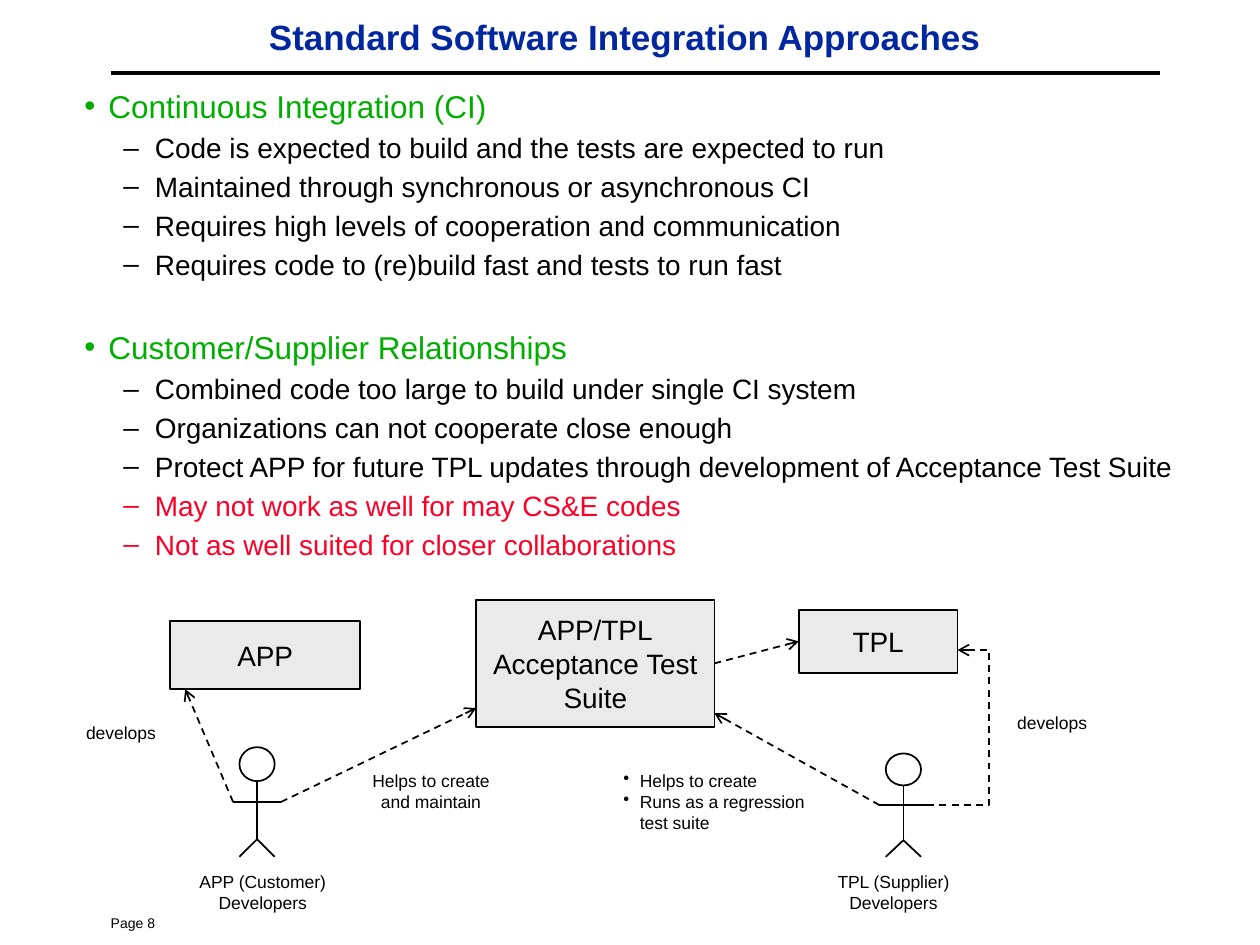
from dataclasses import dataclass

import pptx
import pptx.dml.color
import pptx.enum.dml
import pptx.enum.shapes
import pptx.enum.text
import pptx.oxml.ns
import pptx.util

Pt = pptx.util.Pt
ALIGN = pptx.enum.text.PP_ALIGN
ANCHOR = pptx.enum.text.MSO_ANCHOR
SHAPE = pptx.enum.shapes.MSO_SHAPE
LINK = pptx.enum.shapes.MSO_CONNECTOR
COLS, ROWS = 100, 75


@dataclass(frozen=True)
class Theme:
    font: str = "Arial"
    ink: str = "000000"
    title: str = "00279F"
    heading: str = "00AE00"
    warning: str = "FC0128"
    box: str = "EAEAEA"
    title_size: int = 20
    heading_size: int = 18
    text_size: int = 16
    label_size: int = 10
    page_size: int = 8
    thin: int = 1
    thick: int = 2


THEME = Theme()

TOPICS = [
    ("Continuous Integration (CI)", [
        ("Code is expected to build and the tests are expected to run", THEME.ink),
        ("Maintained through synchronous or asynchronous CI", THEME.ink),
        ("Requires high levels of cooperation and communication", THEME.ink),
        ("Requires code to (re)build fast and tests to run fast", THEME.ink),
    ]),
    ("Customer/Supplier Relationships", [
        ("Combined code too large to build under single CI system", THEME.ink),
        ("Organizations can not cooperate close enough", THEME.ink),
        ("Protect APP for future TPL updates through development of Acceptance Test Suite",
         THEME.ink),
        ("May not work as well for may CS&E codes", THEME.warning),
        ("Not as well suited for closer collaborations", THEME.warning),
    ]),
]


def grid(*cells):
    """Turn alternating column and row positions into lengths on a 10 x 7.5 inch slide."""
    return [pptx.util.Inches(c * 10 / COLS) for c in cells]


def rgb(code):
    return pptx.dml.color.RGBColor.from_string(code)


def add_xml(parent, tag, **attributes):
    parent.append(parent.makeelement(pptx.oxml.ns.qn(tag), attributes))


def style(p, size, color=THEME.ink, align=ALIGN.LEFT, bold=False):
    p.alignment = align
    for r in p.runs:
        r.font.name = THEME.font
        r.font.size = Pt(size)
        r.font.bold = bold
        r.font.color.rgb = rgb(color)


def bullet(p, char, left, hang):
    pPr = p._p.get_or_add_pPr()
    pPr.set("marL", str(pptx.util.Inches(left)))
    pPr.set("indent", str(-pptx.util.Inches(hang)))
    add_xml(pPr, "a:buChar", char=char)


def place(sp, left, top, width, height):
    sp.left, sp.top, sp.width, sp.height = grid(left, top, width, height)


def add_title(s, text):
    sp = s.shapes.title
    place(sp, 7.1, 0.8, 85, 4.2)
    tf = sp.text_frame
    tf.text = text
    tf.auto_size = pptx.enum.text.MSO_AUTO_SIZE.NONE
    tf.vertical_anchor = ANCHOR.MIDDLE
    style(tf.paragraphs[0], THEME.title_size, THEME.title, ALIGN.CENTER, True)


def add_topics(s, topics):
    sp = s.placeholders[1]
    place(sp, 3.8, 6.4, 94.1, 41.8)
    tf = sp.text_frame
    tf.auto_size = pptx.enum.text.MSO_AUTO_SIZE.NONE
    for i, (heading, points) in enumerate(topics):
        p = tf.add_paragraph() if i else tf.paragraphs[0]
        p.text = heading
        bullet(p, "•", 0.38, 0.19)
        p.space_before, p.space_after = Pt(24 if i else 0), Pt(3.4)
        style(p, THEME.heading_size, THEME.heading)
        for text, color in points:
            p = tf.add_paragraph()
            p.text = text
            p.level = 1
            bullet(p, "–", 0.75, 0.25)
            p.space_before, p.space_after = Pt(0), Pt(3)
            style(p, THEME.text_size, color)


def add_label(s, lines, left, top, width, height, size=THEME.label_size,
              align=ALIGN.CENTER, char=None):
    tf = s.shapes.add_textbox(*grid(left, top, width, height)).text_frame
    tf.word_wrap = True
    tf.text = "\n".join(lines)
    for p in tf.paragraphs:
        if char:
            bullet(p, char, 0.13, 0.13)
        style(p, size, align=align)


def add_outline(shapes, kind, left, top, width, height, fill=None):
    sp = shapes.add_shape(kind, *grid(left, top, width, height))
    sp.shadow.inherit = False
    if fill:
        sp.fill.solid()
        sp.fill.fore_color.rgb = rgb(fill)
    else:
        sp.fill.background()
    sp.line.color.rgb = rgb(THEME.ink)
    sp.line.width = Pt(THEME.thin)
    return sp


def add_box(s, lines, left, top, width, height):
    sp = add_outline(s.shapes, SHAPE.RECTANGLE, left, top, width, height, THEME.box)
    tf = sp.text_frame
    tf.word_wrap = True
    tf.vertical_anchor = ANCHOR.MIDDLE
    tf.text = "\n".join(lines)
    for p in tf.paragraphs:
        style(p, THEME.text_size, align=ALIGN.CENTER)
    return sp


def add_line(shapes, start, end, width=THEME.thin, kind=LINK.STRAIGHT):
    c = shapes.add_connector(kind, *grid(*start, *end))
    c.line.color.rgb = rgb(THEME.ink)
    c.line.width = Pt(width)
    add_xml(c._element.spPr, "a:effectLst")
    return c


def add_arrow(s, start, end, kind=LINK.STRAIGHT):
    c = add_line(s.shapes, start, end, kind=kind)
    c.line.dash_style = pptx.enum.dml.MSO_LINE.DASH
    add_xml(c._element.spPr.find(pptx.oxml.ns.qn("a:ln")), "a:tailEnd", type="arrow")
    return c


def bend(c, share):
    """Move an elbow's middle leg to a share of the connector's width."""
    av = c._element.spPr.find(".//" + pptx.oxml.ns.qn("a:avLst"))
    add_xml(av, "a:gd", name="adj1", fmla=f"val {round(share * 100000)}")


def add_person(s, x, top, height):
    """Draw a stick figure; return the ends of its left and right arm."""
    shapes = s.shapes.add_group_shape().shapes
    neck, arms, hip, feet = (top + height * part for part in (0.31, 0.5, 0.84, 1))
    left, right = (x - 1.9, arms), (x + 1.9, arms)
    add_outline(shapes, SHAPE.OVAL, x - 1.4, top, 2.8, neck - top)
    add_line(shapes, (x, neck), (x, hip))
    add_line(shapes, left, right)
    for side in (-1.4, 1.4):
        add_line(shapes, (x, hip), (x + side, feet))
    return left, right


def main():
    prs = pptx.Presentation()
    prs.slide_width, prs.slide_height = grid(COLS, ROWS)
    s = prs.slides.add_slide(prs.slide_layouts[1])

    add_title(s, "Standard Software Integration Approaches")
    add_line(s.shapes, (8.8, 5.8), (92.1, 5.8), THEME.thick)
    add_topics(s, TOPICS)

    add_box(s, ["APP"], 13.5, 49.3, 15.1, 5.4)
    suite = add_box(s, ["APP/TPL", "Acceptance Test Suite"], 37.8, 47.6, 18.9, 10.1)
    tpl = add_box(s, ["TPL"], 63.4, 48.4, 12.6, 5)
    customer_left, customer_right = add_person(s, 20.4, 59.3, 8.7)
    supplier_left, supplier_right = add_person(s, 71.7, 59.8, 8.2)

    add_arrow(s, customer_left, (14.7, 54.7))
    add_arrow(s, customer_right, (37.8, 56.2))
    add_arrow(s, supplier_left, (56.7, 56.6))
    bend(add_arrow(s, supplier_right, (76, 51.6), LINK.ELBOW), 2.04)
    uses = add_arrow(s, (56.7, 52.65), (63.4, 50.9))
    uses.begin_connect(suite, 3)
    uses.end_connect(tpl, 1)

    for left, top in ((5.1, 56.8), (79, 56)):
        add_label(s, ["develops"], left, top, 9, 2.7)
    add_label(s, ["Helps to create and maintain"], 28.2, 60.6, 12, 4.4)
    add_label(s, ["Helps to create", "Runs as a regression test suite"],
              48.5, 60.6, 17.4, 6, align=ALIGN.LEFT, char="•")
    add_label(s, ["APP (Customer) Developers"], 12.2, 68.6, 17.3, 4.4)
    add_label(s, ["TPL (Supplier) Developers"], 62.5, 68.6, 16.8, 4.4)
    add_label(s, ["Page 8"], 7.8, 72.1, 20.8, 2.2, THEME.page_size, ALIGN.LEFT)

    prs.save("out.pptx")


if __name__ == "__main__":
    main()
